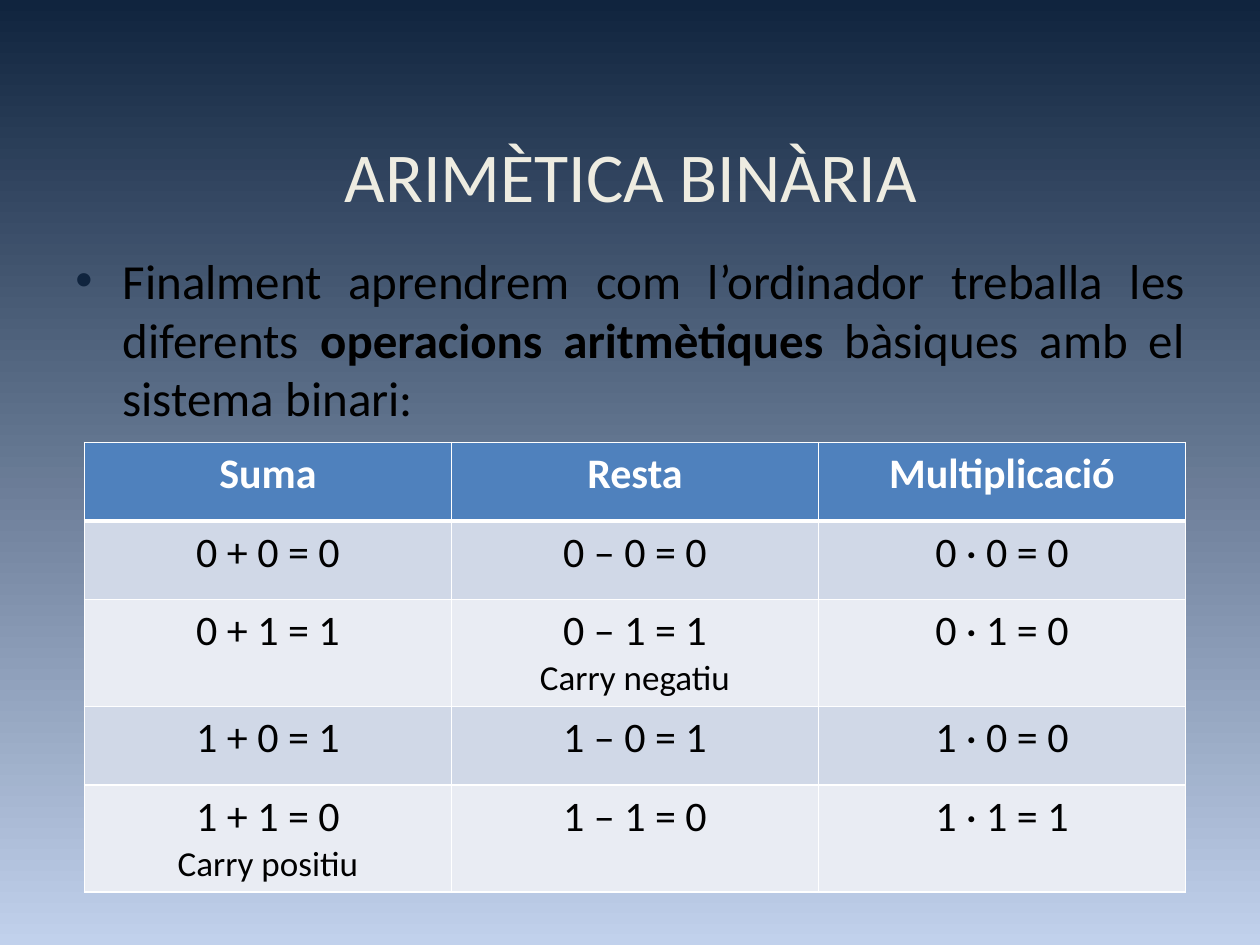
import pptx
import pptx.dml.color
import pptx.enum.text
import pptx.oxml
import pptx.oxml.ns
import pptx.util
from lxml import etree

Pt = pptx.util.Pt
ALIGN = pptx.enum.text.PP_ALIGN
ANCHOR = pptx.enum.text.MSO_ANCHOR
qn = pptx.oxml.ns.qn

FONT = "Calibri"
COLORS = {
    "night": "10243E",
    "sky": "C1D1EC",
    "cream": "EEECE1",
    "black": "000000",
    "white": "FFFFFF",
    "header": "4F81BD",
    "odd": "D0D8E7",
    "even": "E9ECF3",
}
OPERATIONS = [
    ["Suma", "Resta", "Multiplicació"],
    ["0 + 0 = 0", "0 – 0 = 0", "0 · 0 = 0"],
    ["0 + 1 = 1", "0 – 1 = 1\nCarry negatiu", "0 · 1 = 0"],
    ["1 + 0 = 1", "1 – 0 = 1", "1 · 0 = 0"],
    ["1 + 1 = 0\nCarry positiu", "1 – 1 = 0", "1 · 1 = 1"],
]
ROW_HEIGHTS = [45, 45, 61, 45, 61]


def rgb(name):
    return pptx.dml.color.RGBColor.from_string(COLORS[name])


def style(paragraph, size, color, align, bold=None):
    paragraph.alignment = align
    font = paragraph.font
    font.name, font.size, font.bold = FONT, Pt(size), bold
    font.color.rgb = rgb(color)


def place(shape, box):
    shape.left, shape.top, shape.width, shape.height = map(Pt, box)


def paint_background(slide):
    fill = slide.background.fill
    fill.gradient()
    fill.gradient_angle = 270
    for stop, color, position in zip(fill.gradient_stops, ("night", "sky"), (0, 1)):
        stop.color.rgb = rgb(color)
        stop.position = position


def add_title(slide, box):
    title = slide.shapes.title
    place(title, box)
    title.text_frame.text = "ARIMÈTICA BINÀRIA"
    title.text_frame.vertical_anchor = ANCHOR.MIDDLE
    style(title.text_frame.paragraphs[0], 40, "cream", ALIGN.CENTER)


def add_bullet(paragraph, color):
    properties = paragraph._p.get_or_add_pPr()
    properties.set("marL", str(Pt(27)))
    properties.set("indent", str(Pt(-27)))
    bullet_color = etree.Element(qn("a:buClr"))
    etree.SubElement(bullet_color, qn("a:srgbClr"), val=COLORS[color])
    bullet_font = etree.Element(qn("a:buFont"), typeface="Arial")
    bullet = etree.Element(qn("a:buChar"), char="•")
    position = list(properties).index(properties.find(qn("a:defRPr")))
    properties[position:position] = [bullet_color, bullet_font, bullet]


def add_introduction(slide, box):
    frame = slide.shapes.add_textbox(*map(Pt, box)).text_frame
    frame.word_wrap = True
    introduction = frame.paragraphs[0]
    for text, bold in (
        ("Finalment aprendrem com l’ordinador treballa les diferents ", False),
        ("operacions aritmètiques ", True),
        ("bàsiques amb el sistema binari:", False),
    ):
        run = introduction.add_run()
        run.text = text
        run.font.bold = bold
    style(introduction, 28, "black", ALIGN.JUSTIFY)
    introduction.space_before = Pt(5.6)
    add_bullet(introduction, "night")


def add_borders(cell, widths):
    properties = cell._tc.get_or_add_tcPr()
    for index, (side, width) in enumerate(zip("LRTB", widths)):
        line = pptx.oxml.parse_xml(
            f'<a:ln{side} {pptx.oxml.ns.nsdecls("a")} w="{Pt(width)}"><a:solidFill>'
            f'<a:srgbClr val="{COLORS["white"]}"/></a:solidFill></a:ln{side}>'
        )
        properties.insert(index, line)


def add_operations(slide, box):
    table = slide.shapes.add_table(
        len(OPERATIONS), len(OPERATIONS[0]), *map(Pt, box)
    ).table
    for column in table.columns:
        column.width = Pt(box[2] / len(OPERATIONS[0]))
    for row_index, (texts, height) in enumerate(zip(OPERATIONS, ROW_HEIGHTS)):
        table.rows[row_index].height = Pt(height)
        is_header = row_index == 0
        background = "header" if is_header else ("even", "odd")[row_index % 2]
        top = 3 if row_index == 1 else 0.96
        bottom = 3 if is_header else 0.96
        for cell, text in zip(table.rows[row_index].cells, texts):
            cell.text = text
            cell.fill.solid()
            cell.fill.fore_color.rgb = rgb(background)
            add_borders(cell, (0.96, 0.96, top, bottom))
            for paragraph, size in zip(cell.text_frame.paragraphs, (24, 20)):
                style(paragraph, size, "white" if is_header else "black",
                      ALIGN.CENTER, is_header)


def main():
    presentation = pptx.Presentation()
    presentation.slide_width, presentation.slide_height = Pt(720), Pt(540)
    slide = presentation.slides.add_slide(presentation.slide_layouts[5])
    paint_background(slide)
    add_title(slide, (36.5, 55, 648, 90))
    add_introduction(slide, (36, 139.5, 648, 374.5))
    add_operations(slide, (48.25, 252.75, 629.25, sum(ROW_HEIGHTS)))
    presentation.save("out.pptx")


if __name__ == "__main__":
    main()
